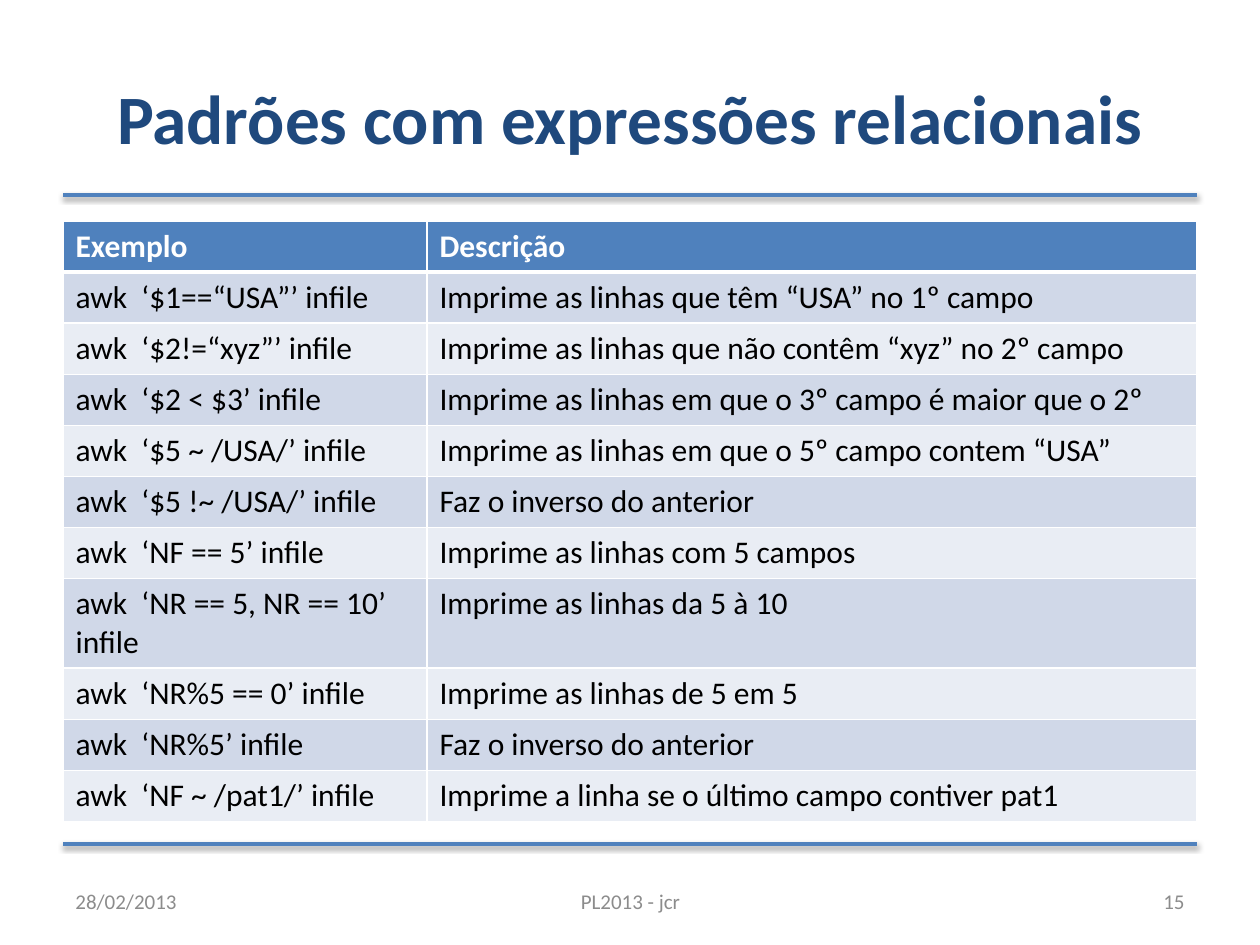
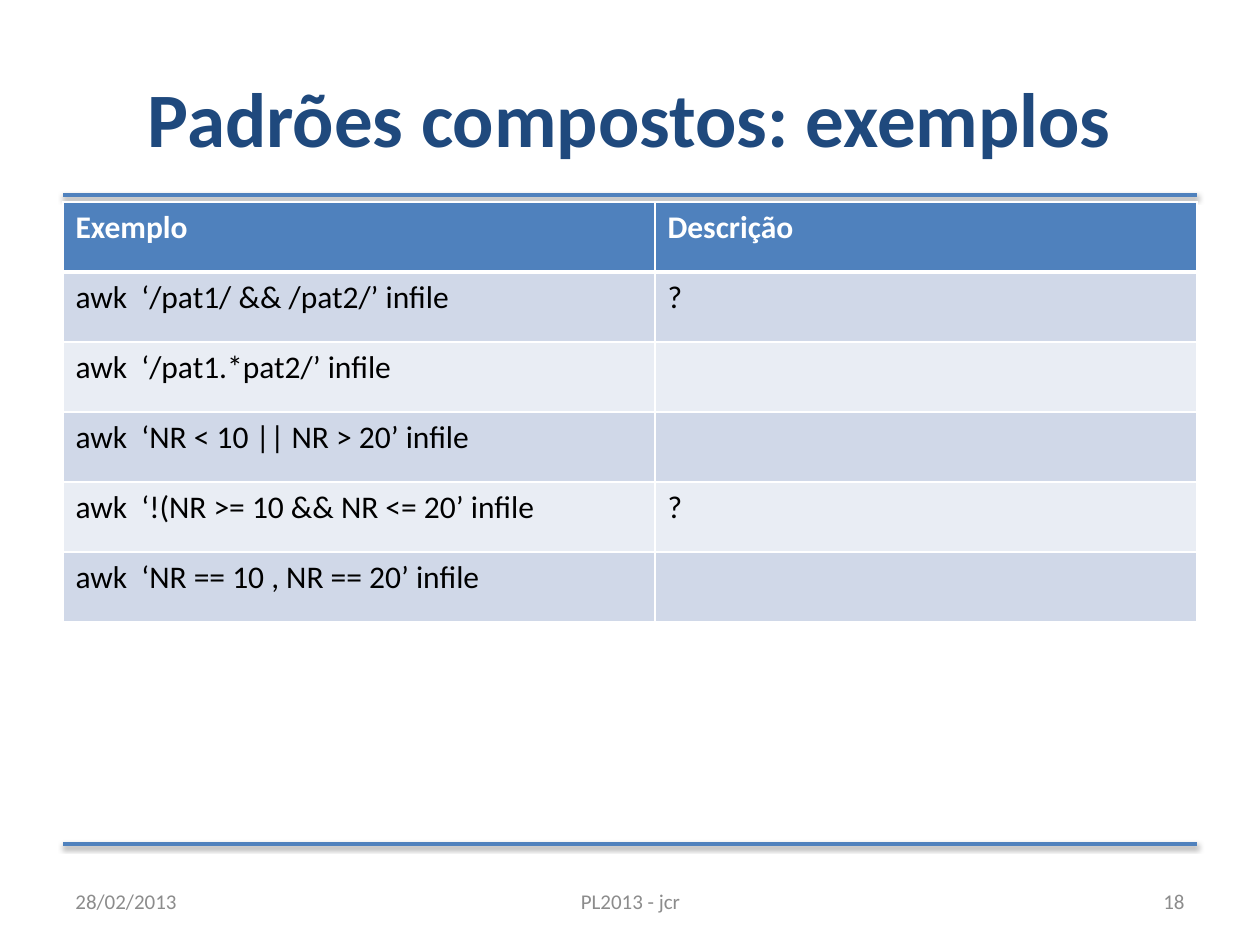
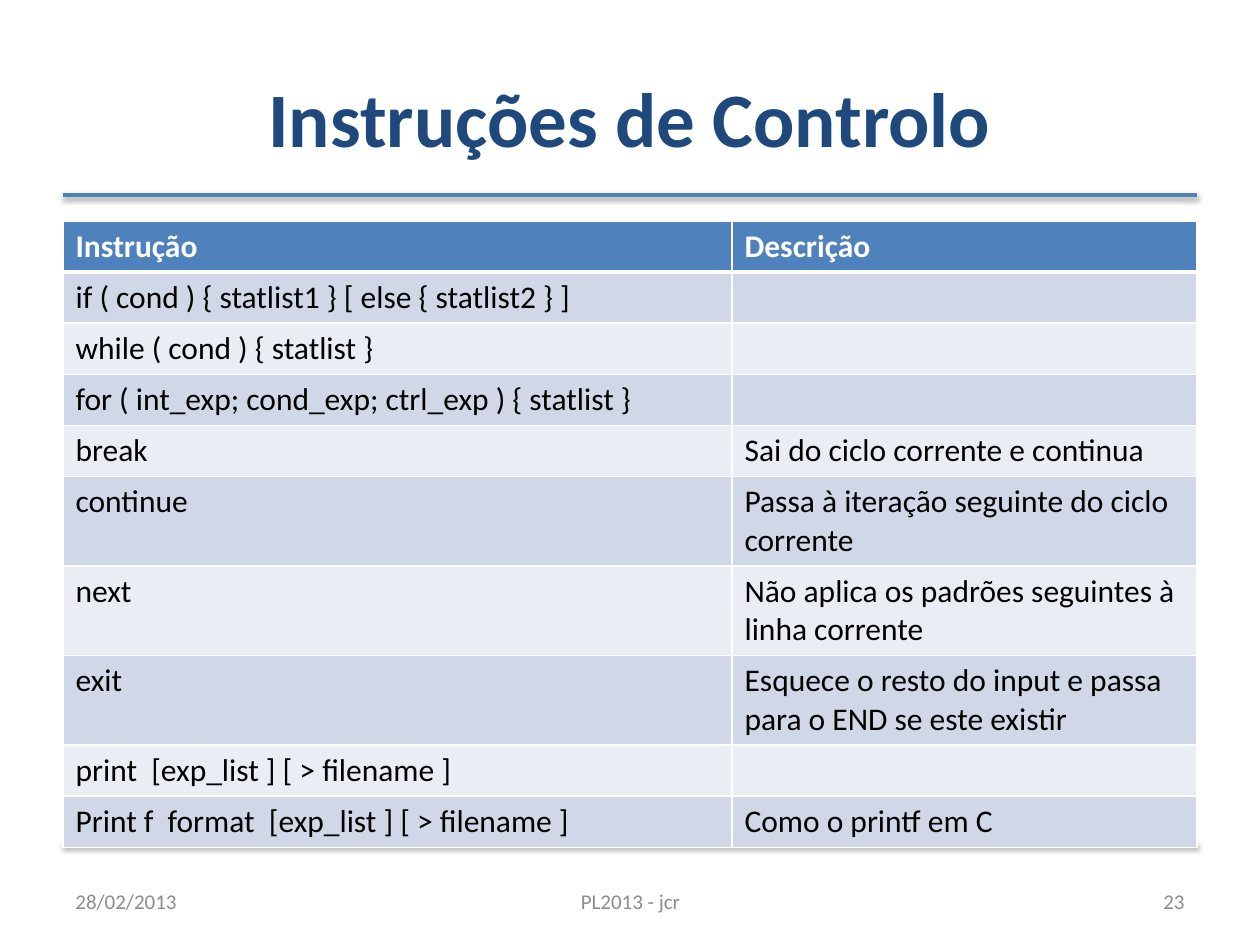
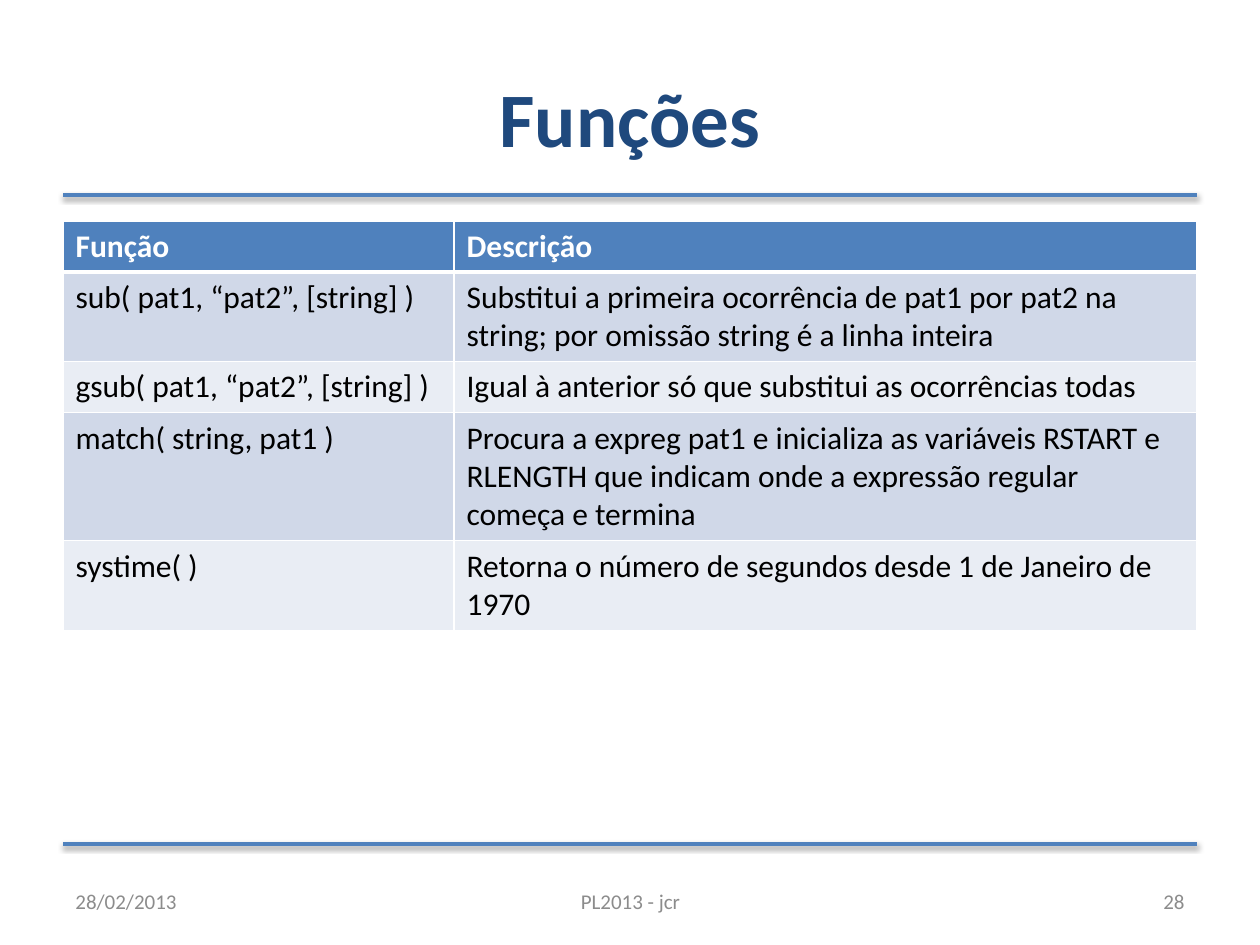
from lxml import etree
from pptx import Presentation
from pptx.dml.color import RGBColor
from pptx.enum.shapes import MSO_CONNECTOR
from pptx.enum.text import MSO_ANCHOR, MSO_AUTO_SIZE, PP_ALIGN
from pptx.oxml import parse_xml
from pptx.oxml.ns import nsdecls, qn
from pptx.util import Emu, Pt

STRAIGHT = MSO_CONNECTOR.STRAIGHT
MIDDLE = MSO_ANCHOR.MIDDLE
NO_FIT = MSO_AUTO_SIZE.NONE
LEFT, CENTER, RIGHT = PP_ALIGN.LEFT, PP_ALIGN.CENTER, PP_ALIGN.RIGHT

FONT = "Calibri"
WHITE = RGBColor(0xFF, 0xFF, 0xFF)
BLACK = RGBColor(0x00, 0x00, 0x00)
NAVY = RGBColor(0x1F, 0x49, 0x7D)
BLUE = RGBColor(0x4F, 0x81, 0xBD)
GREY = RGBColor(0x8C, 0x8C, 0x8C)
BANDS = (RGBColor(0xD0, 0xD8, 0xE8), RGBColor(0xE9, 0xED, 0xF4))

TITLE_ONLY = 5
MARGIN, CONTENT_WIDTH = 63, 1134
RULE_TOPS = (195, 844)
TITLE_TOP, TITLE_HEIGHT = 38, 157
FOOTER_TOP, FOOTER_HEIGHT = 876, 50
TABLE_TOP, ROW_HEIGHT = 221, 51

RELATIONAL = [
    ("Exemplo", "Descrição"),
    ("awk  ‘$1==“USA”’ infile", "Imprime as linhas que têm “USA” no 1º campo"),
    ("awk  ‘$2!=“xyz”’ infile",
     "Imprime as linhas que não contêm “xyz” no 2º campo"),
    ("awk  ‘$2 < $3’ infile",
     "Imprime as linhas em que o 3º campo é maior que o 2º"),
    ("awk  ‘$5 ~ /USA/’ infile",
     "Imprime as linhas em que o 5º campo contem “USA”"),
    ("awk  ‘$5 !~ /USA/’ infile", "Faz o inverso do anterior"),
    ("awk  ‘NF == 5’ infile", "Imprime as linhas com 5 campos"),
    ("awk  ‘NR == 5, NR == 10’ infile", "Imprime as linhas da 5 à 10"),
    ("awk  ‘NR%5 == 0’ infile", "Imprime as linhas de 5 em 5"),
    ("awk  ‘NR%5’ infile", "Faz o inverso do anterior"),
    ("awk  ‘NF ~ /pat1/’ infile",
     "Imprime a linha se o último campo contiver pat1"),
]
COMPOUND = [
    ("Exemplo", "Descrição"),
    ("awk  ‘/pat1/ && /pat2/’ infile", "?"),
    ("awk  ‘/pat1.*pat2/’ infile", ""),
    ("awk  ‘NR < 10 || NR > 20’ infile", ""),
    ("awk  ‘!(NR >= 10 && NR <= 20’ infile", "?"),
    ("awk  ‘NR == 10 , NR == 20’ infile", ""),
]
CONTROL = [
    ("Instrução", "Descrição"),
    ("if ( cond ) { statlist1 } [ else { statlist2 } ]", ""),
    ("while ( cond ) { statlist }", ""),
    ("for ( int_exp; cond_exp; ctrl_exp ) { statlist }", ""),
    ("break", "Sai do ciclo corrente e continua"),
    ("continue", "Passa à iteração seguinte do ciclo corrente"),
    ("next", "Não aplica os padrões seguintes à linha corrente"),
    ("exit", "Esquece o resto do input e passa para o END se este existir"),
    ("print  [exp_list ] [ > filename ]", ""),
    ("Print f  format  [exp_list ] [ > filename ]", "Como o printf em C"),
]
FUNCTIONS = [
    ("Função", "Descrição"),
    ("sub( pat1, “pat2”, [string] )",
     "Substitui a primeira ocorrência de pat1 por pat2 na string; "
     "por omissão string é a linha inteira"),
    ("gsub( pat1, “pat2”, [string] )",
     "Igual à anterior só que substitui as ocorrências todas"),
    ("match( string, pat1 )",
     "Procura a expreg pat1 e inicializa as variáveis RSTART e RLENGTH "
     "que indicam onde a expressão regular começa e termina"),
    ("systime( )", "Retorna o número de segundos desde 1 de Janeiro de 1970"),
]


def px(pixels):
    """Turn pixels (126 to the inch) into EMU."""
    return Emu(round(pixels * 914400 / 126))


def add_run(paragraph, text, size, color, bold=False):
    """Append one formatted run."""
    run = paragraph.add_run()
    run.text = text
    run.font.name = FONT
    run.font.size = Pt(size)
    run.font.bold = bold
    run.font.color.rgb = color


def add_rule(slide, layout, top):
    """Draw a shadowed rule and move it to the layout the slides share."""
    rule = slide.shapes.add_connector(
        STRAIGHT, px(MARGIN), px(top), px(MARGIN + CONTENT_WIDTH), px(top))
    rule.line.color.rgb = BLUE
    rule.line.width = Pt(2)
    rule.element.spPr.append(parse_xml(
        f'<a:effectLst {nsdecls("a")}><a:outerShdw blurRad="40000" dist="20000" '
        'dir="5400000" rotWithShape="0"><a:srgbClr val="000000">'
        '<a:alpha val="38000"/></a:srgbClr></a:outerShdw></a:effectLst>'))
    layout.shapes.element.append(rule.element)


def set_title(slide, text, size):
    """Place and fill the title placeholder."""
    title = slide.shapes.title
    title.left, title.top = px(MARGIN), px(TITLE_TOP)
    title.width, title.height = px(CONTENT_WIDTH), px(TITLE_HEIGHT)
    frame = title.text_frame
    frame.auto_size = NO_FIT
    frame.vertical_anchor = MIDDLE
    frame.paragraphs[0].alignment = CENTER
    add_run(frame.paragraphs[0], text, size, NAVY, bold=True)


def add_footer(slide, number):
    """Add the date, the course and the slide number."""
    for text, left, width, alignment in (
            ("28/02/2013", MARGIN, 294, LEFT),
            ("PL2013 - jcr", 431, 399, CENTER),
            (str(number), 903, 294, RIGHT)):
        box = slide.shapes.add_textbox(
            px(left), px(FOOTER_TOP), px(width), px(FOOTER_HEIGHT))
        frame = box.text_frame
        frame.word_wrap = True
        frame.vertical_anchor = MIDDLE
        frame.paragraphs[0].alignment = alignment
        add_run(frame.paragraphs[0], text, 12, GREY)


def set_borders(cell, top, bottom):
    """Give a cell white borders; top and bottom are widths in points."""
    properties = cell._tc.get_or_add_tcPr()
    for side, width in (("L", 1), ("R", 1), ("T", top), ("B", bottom)):
        border = etree.SubElement(properties, qn(f"a:ln{side}"), w=str(Pt(width)))
        fill = etree.SubElement(border, qn("a:solidFill"))
        etree.SubElement(fill, qn("a:srgbClr"), val=str(WHITE))


def add_banded_table(slide, rows, first_width, top, row_height):
    """Add a two-column table with a blue header and banded rows."""
    table = slide.shapes.add_table(
        len(rows), 2, px(MARGIN), px(top),
        px(CONTENT_WIDTH), px(row_height * len(rows))).table
    table.columns[0].width = px(first_width)
    table.columns[1].width = px(CONTENT_WIDTH - first_width)
    for index, texts in enumerate(rows):
        table.rows[index].height = px(row_height)
        header = index == 0
        for column, text in enumerate(texts):
            cell = table.cell(index, column)
            set_borders(cell, top=3 if index == 1 else 1, bottom=3 if header else 1)
            cell.fill.solid()
            cell.fill.fore_color.rgb = BLUE if header else BANDS[(index - 1) % 2]
            if text:
                add_run(cell.text_frame.paragraphs[0], text, 18,
                        WHITE if header else BLACK, bold=header)


def add_table_slide(deck, title, number, rows, first_width, title_size=44,
                    top=TABLE_TOP, row_height=ROW_HEIGHT):
    """Add a slide with a title, a table and the footer."""
    slide = deck.slides.add_slide(deck.slide_layouts[TITLE_ONLY])
    set_title(slide, title, title_size)
    add_banded_table(slide, rows, first_width, top, row_height)
    add_footer(slide, number)
    return slide


def main():
    """Build and save the deck."""
    deck = Presentation()
    deck.slide_width, deck.slide_height = px(1260), px(945)
    opening = add_table_slide(deck, "Padrões com expressões relacionais", 15,
                              RELATIONAL, 364, title_size=39.6)
    for top in RULE_TOPS:
        add_rule(opening, deck.slide_layouts[TITLE_ONLY], top)
    add_table_slide(deck, "Padrões compostos: exemplos", 18, COMPOUND, 592,
                    top=202, row_height=70)
    add_table_slide(deck, "Instruções de Controlo", 23, CONTROL, 669)
    add_table_slide(deck, "Funções", 28, FUNCTIONS, 391)
    deck.save("out.pptx")


main()
